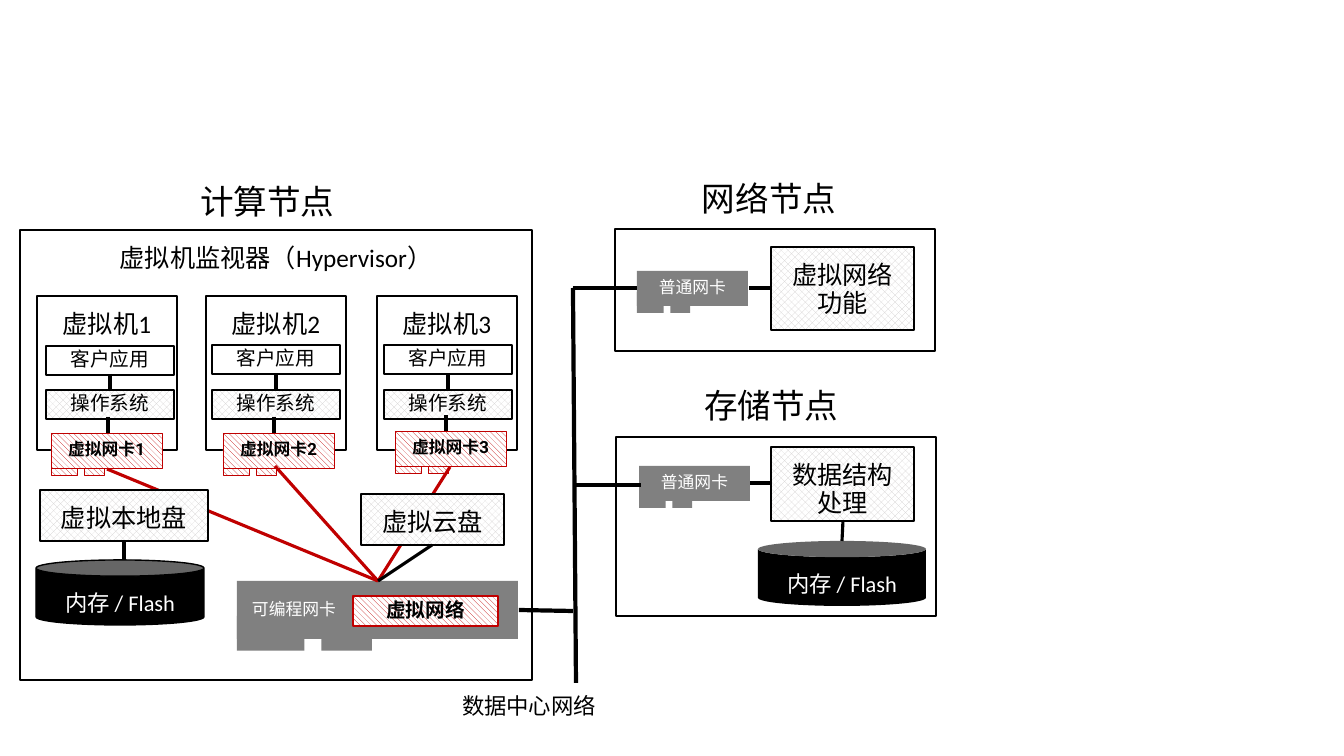
from pptx import Presentation
from pptx import util as u
from pptx.dml.color import RGBColor
from pptx.enum import dml, shapes, text
from pptx.oxml import ns
from lxml import etree

PX = 914400 / 100.8


class Theme:
    black, white, grey, red, pale = "000000", "FFFFFF", "808080", "C00000", "D0CECE"
    heading, label, caption, small, tiny = 24, 18, 16, 14, 12
    main, card = "Calibri", "Roboto"
    hatch = (dml.MSO_PATTERN.WIDE_DOWNWARD_DIAGONAL, red)
    mesh = (dml.MSO_PATTERN.PERCENT_50, pale)


T = Theme
RECT, CAN = shapes.MSO_SHAPE.RECTANGLE, shapes.MSO_SHAPE.CAN
LEFT, CENTER = text.PP_ALIGN.LEFT, text.PP_ALIGN.CENTER
TOP, MIDDLE = text.MSO_ANCHOR.TOP, text.MSO_ANCHOR.MIDDLE

prs = Presentation()
prs.slide_width, prs.slide_height = round(1344 * PX), round(756 * PX)
s = prs.slides.add_slide(prs.slide_layouts[6])


def box(at, label="", size=T.label, fill=T.white, line=T.black, weight=1, color=T.black,
        bold=False, font=T.main, align=CENTER, anchor=TOP, inset=(20, 16), kind=RECT, parent=s):
    sp = parent.shapes.add_shape(kind, *[round(v * PX) for v in at])
    sp.shadow.inherit = False
    if isinstance(fill, tuple):
        sp.fill.patterned()
        sp.fill.pattern = fill[0]
        sp.fill.fore_color.rgb = RGBColor.from_string(fill[1])
        sp.fill.back_color.rgb = RGBColor.from_string(T.white)
    else:
        sp.fill.solid()
        sp.fill.fore_color.rgb = RGBColor.from_string(fill)
    if line:
        sp.line.color.rgb = RGBColor.from_string(line)
        sp.line.width = u.Pt(weight)
    else:
        sp.line.fill.background()
    if label:
        tf = sp.text_frame
        tf.word_wrap = True
        tf.vertical_anchor = anchor
        tf.margin_left = tf.margin_right = round(inset[0] * PX)
        tf.margin_top = tf.margin_bottom = round(inset[1] * PX)
        p = tf.paragraphs[0]
        p.text, p.alignment, p.line_spacing = label, align, 0.9
        p.font.name, p.font.size, p.font.bold = font, u.Pt(size), bold
        p.font.color.rgb = RGBColor.from_string(color)


def wire(x1, y1, x2, y2, weight=2.25, color=T.black):
    c = s.shapes.add_connector(shapes.MSO_CONNECTOR.STRAIGHT,
                               *[round(v * PX) for v in (x1, y1, x2, y2)])
    c.line.color.rgb = RGBColor.from_string(color)
    c.line.width = u.Pt(weight)
    etree.SubElement(c._element.spPr, ns.qn("a:effectLst"))


box((20, 230, 512, 450), "虚拟机监视器（Hypervisor）")
box((615, 229, 320, 122))
box((616, 437, 320, 179))

for x, y, h, label, size in [
    (180, 169, 70, "计算节点", T.heading),
    (682, 167, 70, "网络节点", T.heading),
    (684, 374, 70, "存储节点", T.heading),
    (442, 683, 57, "数据中心网络", T.caption),
]:
    tb = s.shapes.add_textbox(*[round(v * PX) for v in (x, y, 176, h)])
    tf = tb.text_frame
    tf.word_wrap = False
    tf.auto_size = text.MSO_AUTO_SIZE.SHAPE_TO_FIT_TEXT
    tf.margin_left = tf.margin_right = round(20 * PX)
    tf.margin_top = tf.margin_bottom = round(16 * PX)
    p = tf.paragraphs[0]
    p.text, p.line_spacing, p.space_after = label, 0.9, u.Pt(6)
    p.font.name, p.font.size = T.main, u.Pt(size)
    p.font.color.rgb = RGBColor.from_string(T.black)

vms = [(37, 46, 346, 51, 433), (206, 212, 345, 223, 433), (377, 384, 345, 395, 431)]
for n, (vm_x, app_x, app_y, nic_x, nic_y) in enumerate(vms, 1):
    box((vm_x, 296, 140, 154), f"虚拟机{n}")

plain = dict(fill=T.grey, line=None)
virtual = dict(fill=T.hatch, line=T.red, weight=0.5)
cards = [(237, 581, 281, 58, "可编程网卡", plain, LEFT),
         (637, 271, 111, 35, "普通网卡", plain, CENTER),
         (639, 466, 111, 35, "普通网卡", plain, CENTER)]
cards += [(vm[3], vm[4], 111, 35, f"虚拟网卡{n}", virtual, CENTER) for n, vm in enumerate(vms, 1)]
for x, y, w, h, label, style, align in cards:
    card = s.shapes.add_group_shape()
    for offset, width in [(0, 0.24), (0.3, 0.18)]:
        box((x + offset * w, y + 0.6 * h, width * w, 0.6 * h), parent=card, **style)
    box((x, y, w, h), label, T.tiny, color=T.white if style is plain else T.black,
        bold=style is virtual, font=T.card, align=align, anchor=MIDDLE, inset=(15, 12),
        parent=card, **style)

for x, y in [(107, 469), (275, 466), (450, 467)]:
    wire(x, y, 378, 581, color=T.red)
box((353, 596, 145, 30), "虚拟网络", T.small, fill=T.hatch, line=T.red, bold=True, anchor=MIDDLE)

for vm_x, app_x, app_y, nic_x, nic_y in vms:
    box((app_x, app_y, 128, 29), "客户应用", T.small, anchor=MIDDLE)
    box((app_x, 390, 128, 29), "操作系统", T.small, fill=T.mesh, anchor=MIDDLE)
    wire(app_x + 64, 374, app_x + 64, 390, 3)
    wire(app_x + 62, nic_y - 16, app_x + 62, nic_y, 3)

for at, label in [
    ((40, 490, 168, 51), "虚拟本地盘"),
    ((361, 494, 143, 51), "虚拟云盘"),
    ((771, 247, 143, 83), "虚拟网络功能"),
    ((771, 447, 143, 74), "数据结构处理"),
]:
    box(at, label, fill=T.mesh)

for x, y, line in [(36, 560, T.black), (758, 541, None)]:
    box((x, y, 168, 65), "内存 / Flash", T.caption, fill=T.black, line=line,
        color=T.white, kind=CAN)

for ends in [(432, 545, 378, 581), (124, 541, 124, 560), (771, 288, 749, 288),
             (771, 483, 750, 483), (843, 521, 842, 541)]:
    wire(*ends)

for ends in [(573, 288, 576, 683), (519, 610, 573, 611),
             (573, 288, 637, 288), (576, 485, 641, 485)]:
    wire(*ends, weight=3)

prs.save("out.pptx")
